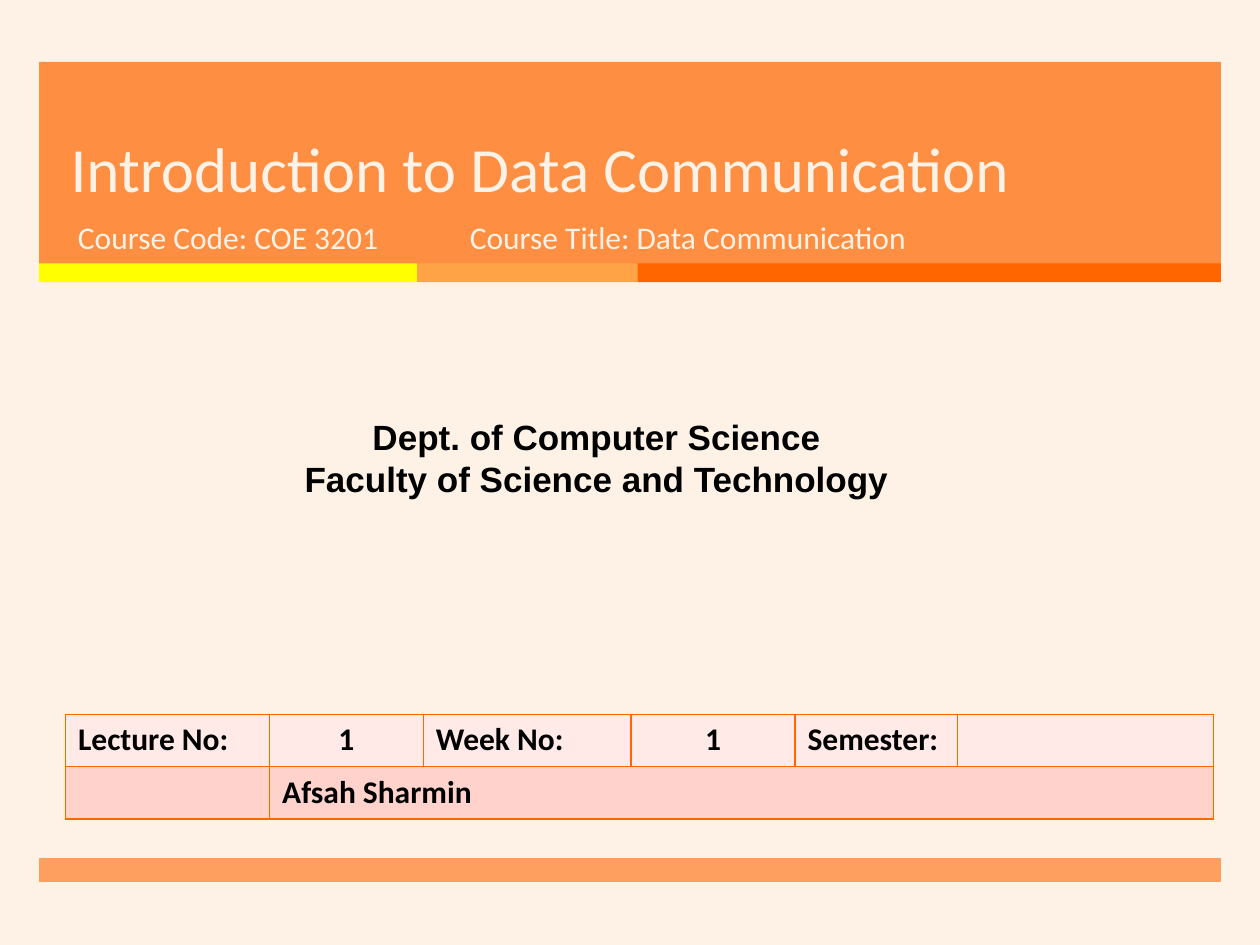
from lxml.etree import SubElement
from pptx import Presentation
from pptx.dml.color import RGBColor
from pptx.enum.shapes import MSO_SHAPE as Kind
from pptx.enum.text import MSO_ANCHOR as Anchor, MSO_AUTO_SIZE as Fit, PP_ALIGN as Align
from pptx.oxml.ns import qn
from pptx.util import Inches, Pt

HUES = {
    "cream": "FEF2E6", "band": "FF7D26", "yellow": "FFFF00", "amber": "FFA347",
    "orange": "FF6600", "black": "000000", "light": "FFEAE7", "pink": "FFD3CC",
}
LIGHT = {"name": "Calibri", "size": Pt(18)}
BOLD = {**LIGHT, "bold": True}
LEFT, WIDE = 0.31, 9.38


def hue(name):
    return RGBColor.from_string(HUES[name])


def place(shape, *box):
    for side, value in zip(("left", "top", "width", "height"), box):
        setattr(shape, side, Inches(value))


def add_bar(slide, box, color, alpha=100):
    """Add a plain rectangle; alpha is its opacity in percent."""
    bar = slide.shapes.add_shape(Kind.RECTANGLE, *map(Inches, box))
    bar.shadow.inherit = False
    bar.line.fill.background()
    bar.fill.solid()
    bar.fill.fore_color.rgb = hue(color)
    if alpha < 100:
        tint = bar.element.spPr.find(qn("a:solidFill")).find(qn("a:srgbClr"))
        SubElement(tint, qn("a:alpha"), val=str(alpha * 1000))


def write(frame, lines, style, color, align=Align.LEFT):
    frame.text = "\n".join(lines)
    for para in frame.paragraphs:
        para.alignment = align
        for key, value in style.items():
            setattr(para.font, key, value)
        para.font.color.rgb = hue(color)


def add_text(slide, box, lines, style, color, align=Align.LEFT):
    frame = slide.shapes.add_textbox(*map(Inches, box)).text_frame
    frame.word_wrap = True
    write(frame, lines, style, color, align)


def set_title(slide, text):
    title = slide.shapes.title
    place(title, 0.46, 0.49, 8.54, 1.19)
    frame = title.text_frame
    frame.auto_size = Fit.NONE
    frame.vertical_anchor = Anchor.BOTTOM
    write(frame, [text], {"name": "Calibri", "size": Pt(36)}, "cream")
    frame.paragraphs[0].line_spacing = Pt(46)
    # Bring the title in front of the band
    slide.shapes.element.append(title.element)


def add_border(cell):
    props = cell._tc.get_or_add_tcPr()
    for side in "LRTB":
        line = SubElement(props, qn(f"a:ln{side}"), w=str(Pt(1)))
        fill = SubElement(line, qn("a:solidFill"))
        SubElement(fill, qn("a:srgbClr"), val=HUES["orange"])


def add_grid(slide):
    rows = [
        ["Lecture No:", "1", "Week No:", "1", "Semester:", ""],
        ["", "Afsah Sharmin", "", "", "", ""],
    ]
    widths = [1.62, 1.22, 1.65, 1.3, 1.29, 2.03]
    box = map(Inches, (0.52, 5.67, sum(widths), 0.83))
    table = slide.shapes.add_table(len(rows), len(widths), *box).table
    for col, width in zip(table.columns, widths):
        col.width = Inches(width)
    for r, (row, shade) in enumerate(zip(rows, ("light", "pink"))):
        for c, text in enumerate(row):
            cell = table.cell(r, c)
            add_border(cell)
            cell.fill.solid()
            cell.fill.fore_color.rgb = hue(shade)
            align = Align.CENTER if text.isdigit() else Align.LEFT
            write(cell.text_frame, [text], BOLD, "black", align)
    table.cell(1, 1).merge(table.cell(1, 5))


def main():
    deck = Presentation()
    deck.slide_width, deck.slide_height = Inches(10), Inches(7.5)
    slide = deck.slides.add_slide(deck.slide_layouts[5])
    slide.background.fill.solid()
    slide.background.fill.fore_color.rgb = hue("cream")

    add_bar(slide, (LEFT, 0.49, WIDE, 1.61), "band", 85)
    left = LEFT
    for width, color in ((3, "yellow"), (1.75, "amber"), (4.63, "orange")):
        add_bar(slide, (left, 2.09, width, 0.15), color)
        left += width
    add_bar(slide, (LEFT, 6.81, WIDE, 0.19), "band", 70)

    set_title(slide, "Introduction to Data Communication")
    add_text(slide, (0.52, 1.68, 3.05, 0.53), ["Course Code: COE 3201"], LIGHT, "cream")
    add_text(slide, (3.63, 1.68, 4.55, 0.53), ["Course Title: Data Communication"],
             LIGHT, "cream")
    add_text(slide, (-0.2, 3.25, 9.87, 0.77),
             ["Dept. of Computer Science", "Faculty of Science and Technology"],
             {"name": "Arial", "size": Pt(20), "bold": True}, "black", Align.CENTER)
    add_grid(slide)
    deck.save("out.pptx")


if __name__ == "__main__":
    main()
